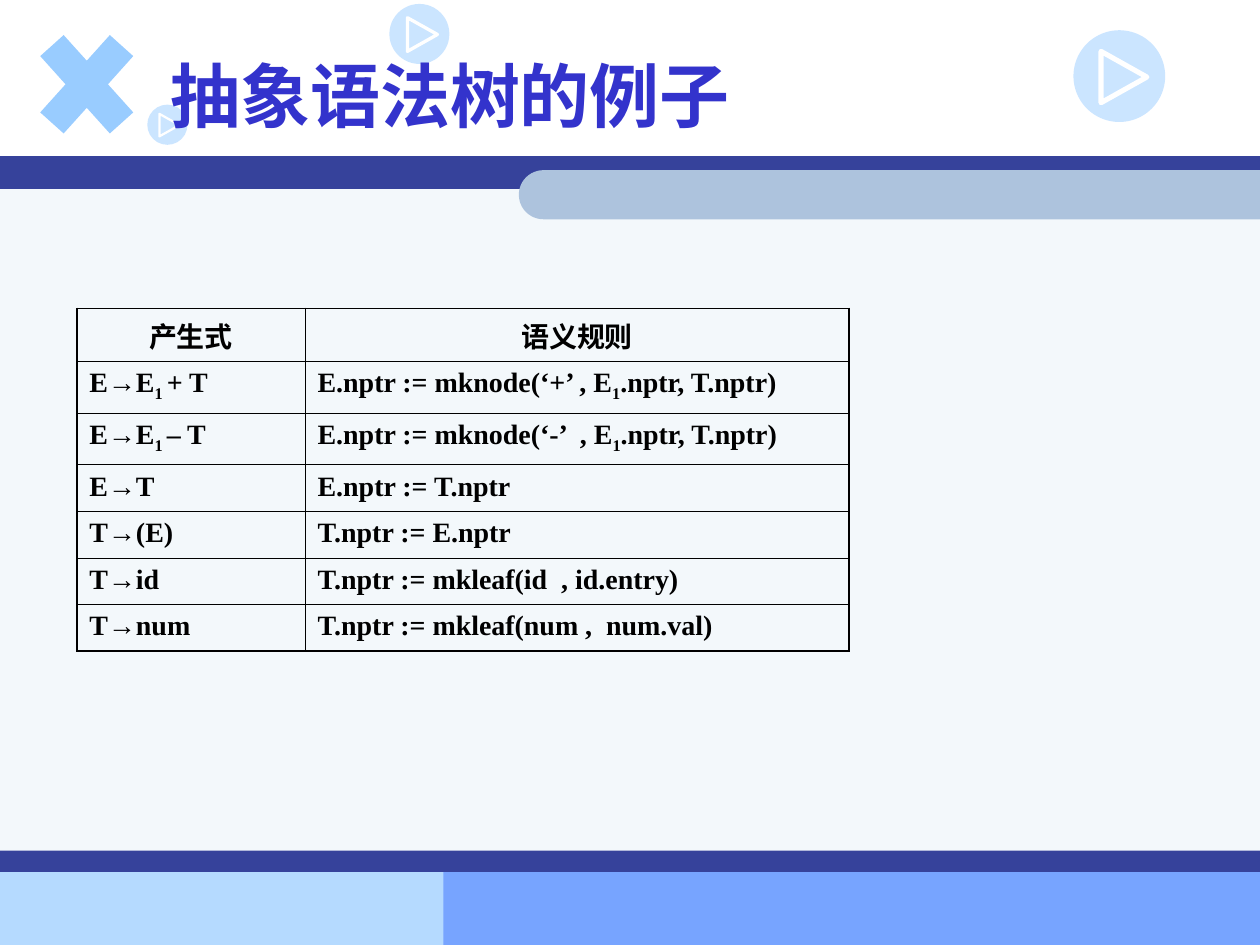
import dataclasses

import pptx
import pptx.chart.data
import pptx.dml.color
import pptx.enum.shapes
import pptx.enum.text
import pptx.oxml
import pptx.oxml.ns
import pptx.util

Cm = pptx.util.Cm
Pt = pptx.util.Pt
SHAPES = pptx.enum.shapes.MSO_SHAPE
ALIGN = pptx.enum.text.PP_ALIGN
qn = pptx.oxml.ns.qn


@dataclasses.dataclass(frozen=True)
class Theme:
    """Colours, fonts and sizes of the deck."""
    title: str = "3333CC"
    text: str = "000000"
    white: str = "FFFFFF"
    panel: str = "F3F8FB"
    band: str = "36429B"
    pill: str = "ADC3DD"
    footer_left: str = "B5DAFF"
    footer_right: str = "77A4FF"
    accent: str = "99CCFF"
    latin: str = "Times New Roman"
    cjk: str = "Noto Sans CJK SC"
    title_size: float = 40
    table_size: float = 16
    outer_line: float = 1.08
    inner_line: float = 0.45


class SlideBuilder:
    """Adds styled elements to the current slide."""

    def __init__(self, slide, theme):
        self.slide = slide
        self.theme = theme

    def rgb(self, colour):
        return pptx.dml.color.RGBColor.from_string(colour)

    def block(self, kind, colour, left, top, width, height):
        block = self.slide.shapes.add_shape(kind, Cm(left), Cm(top), Cm(width), Cm(height))
        block.shadow.inherit = False
        block.fill.solid()
        block.fill.fore_color.rgb = self.rgb(colour)
        block.line.fill.background()
        return block

    def pill(self, left, top, width, height):
        pill = self.block(SHAPES.ROUND_2_SAME_RECTANGLE, self.theme.pill,
                          left + (width - height) / 2, top - (width - height) / 2, height, width)
        pill.adjustments[0] = 0.5
        pill.rotation = 270

    def play_badge(self, left, top, size):
        disc = self.block(SHAPES.OVAL, self.theme.accent, left, top, size, size)
        colour = disc.fill._xPr.find(qn("a:solidFill"))[0]
        colour.append(pptx.oxml.parse_xml(
            f'<a:alpha {pptx.oxml.ns.nsdecls("a")} val="50000"/>'))
        corners = [(Cm(left + size * x), Cm(top + size * y))
                   for x, y in ((0.3, 0.23), (0.8, 0.51), (0.3, 0.79))]
        outline = self.slide.shapes.build_freeform(*corners[0])
        outline.add_line_segments(corners[1:], close=True)
        arrow = outline.convert_to_shape()
        arrow.shadow.inherit = False
        arrow.fill.background()
        arrow.line.color.rgb = self.rgb(self.theme.white)
        arrow.line.width = Cm(size * 0.055)

    def run(self, paragraph, text, size, colour, latin, east_asian=None, subscript=False):
        run = paragraph.add_run()
        run.text = text
        run.font.size = Pt(size)
        run.font.bold = True
        run.font.name = latin
        run.font.color.rgb = self.rgb(colour)
        properties = run.font._element
        if east_asian:
            properties.find(qn("a:latin")).addnext(pptx.oxml.parse_xml(
                f'<a:ea {pptx.oxml.ns.nsdecls("a")} typeface="{east_asian}"/>'))
        if subscript:
            properties.set("baseline", "-25000")

    def title(self, text, left, top, width, height):
        heading = self.slide.shapes.title
        heading.left, heading.top = Cm(left), Cm(top)
        heading.width, heading.height = Cm(width), Cm(height)
        heading.text_frame.vertical_anchor = pptx.enum.text.MSO_ANCHOR.MIDDLE
        paragraph = heading.text_frame.paragraphs[0]
        paragraph.alignment = ALIGN.LEFT
        self.run(paragraph, text, self.theme.title_size, self.theme.title,
                 self.theme.cjk, self.theme.cjk)
        self.slide.shapes._spTree.append(heading._element)

    def borders(self, cell, outer_edges):
        properties = cell._tc.get_or_add_tcPr()
        for side, outer in outer_edges.items():
            width = Pt(self.theme.outer_line if outer else self.theme.inner_line)
            properties.append(pptx.oxml.parse_xml(
                f'<a:ln{side} {pptx.oxml.ns.nsdecls("a")} w="{width}"><a:solidFill>'
                f'<a:srgbClr val="{self.theme.text}"/></a:solidFill></a:ln{side}>'))

    def rule_table(self, rows, left, top, widths, heights):
        table = self.slide.shapes.add_table(
            len(rows), len(widths), Cm(left), Cm(top), Cm(sum(widths)), Cm(sum(heights))).table
        table.first_row = table.horz_banding = False
        for column, width in zip(table.columns, widths):
            column.width = Cm(width)
        for r, (entries, height) in enumerate(zip(rows, heights)):
            table.rows[r].height = Cm(height)
            for c, entry in enumerate(entries):
                cell = table.cell(r, c)
                self.borders(cell, {"L": c == 0, "R": c == len(widths) - 1,
                                    "T": r == 0, "B": r == len(rows) - 1})
                cell.fill.background()
                paragraph = cell.text_frame.paragraphs[0]
                paragraph.alignment = ALIGN.CENTER if r == 0 else ALIGN.LEFT
                for i, piece in enumerate(entry.split("|")):
                    self.run(paragraph, piece, self.theme.table_size, self.theme.text,
                             self.theme.latin, self.theme.cjk if r == 0 else None,
                             subscript=i % 2 == 1)


RULES = [
    ("产生式", "语义规则"),
    ("E→E|1 |+ T", "E.nptr := mknode(‘+’ , E|1|.nptr, T.nptr)"),
    ("E→E|1 |– T", "E.nptr := mknode(‘-’  , E|1|.nptr, T.nptr)"),
    ("E→T", "E.nptr := T.nptr"),
    ("T→(E)", "T.nptr := E.nptr"),
    ("T→id", "T.nptr := mkleaf(id  , id.entry)"),
    ("T→num", "T.nptr := mkleaf(num ,  num.val)"),
]


def main():
    deck = pptx.Presentation()
    deck.slide_width, deck.slide_height = Cm(25.4), Cm(19.05)
    theme = Theme()
    builder = SlideBuilder(deck.slides.add_slide(deck.slide_layouts[5]), theme)

    for colour, *place in (
        (theme.footer_left, 0, 17.58, 10.8, 1.47),
        (theme.footer_right, 8.94, 17.55, 16.46, 1.5),
        (theme.panel, 0, 3.56, 25.4, 14),
        (theme.band, 0, 3.15, 25.4, 0.66),
        (theme.band, 0, 17.15, 25.4, 0.43),
    ):
        builder.block(SHAPES.RECTANGLE, colour, *place)
    builder.pill(10.46, 3.43, 14.94, 0.99)
    builder.block(SHAPES.MATH_MULTIPLY, theme.accent, 0.4, 0.2, 2.7, 3)
    for badge in ((7.85, 0.08, 1.21), (21.64, 0.61, 1.85), (2.97, 2.11, 0.81)):
        builder.play_badge(*badge)

    builder.title("抽象语法树的例子", 3.18, 0.43, 21.59, 2.97)
    builder.rule_table(RULES, 1.55, 6.22, (4.6, 10.97), [0.94] + [1.04] * 2 + [0.94] * 4)
    deck.save("out.pptx")


if __name__ == "__main__":
    main()
